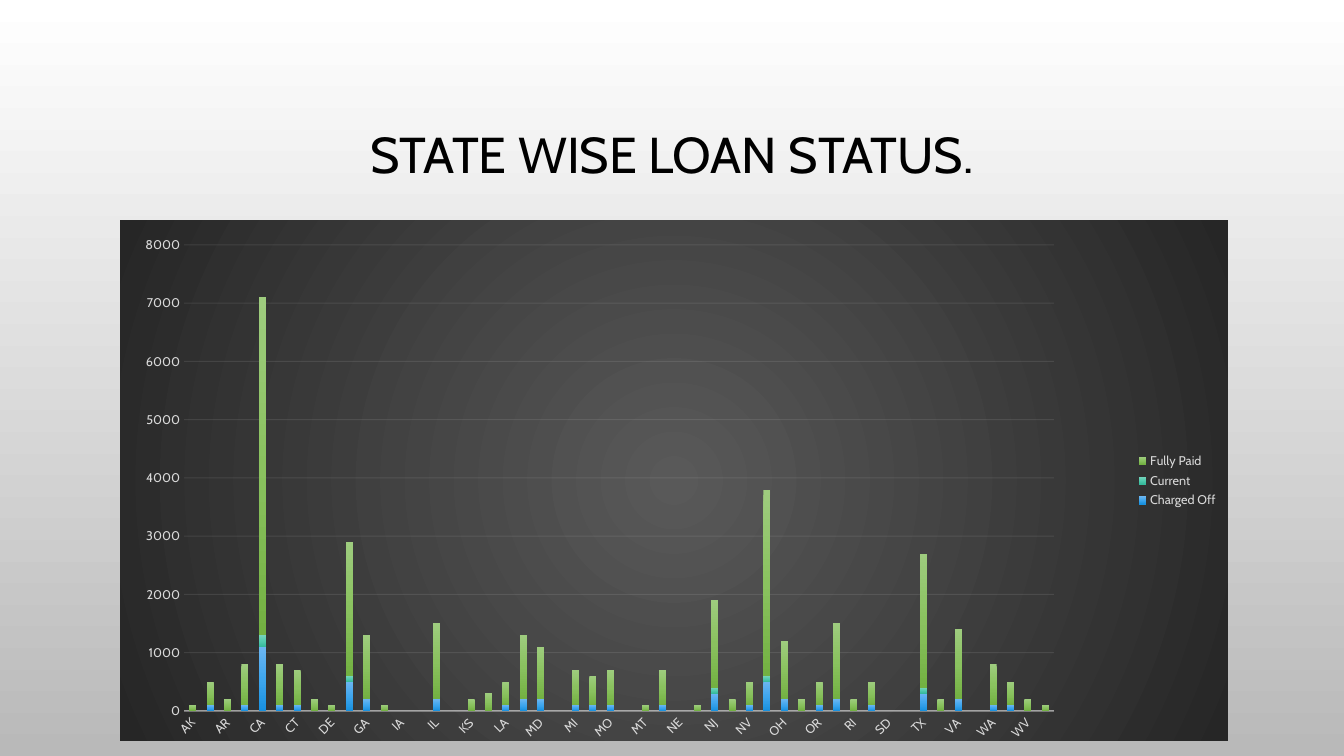
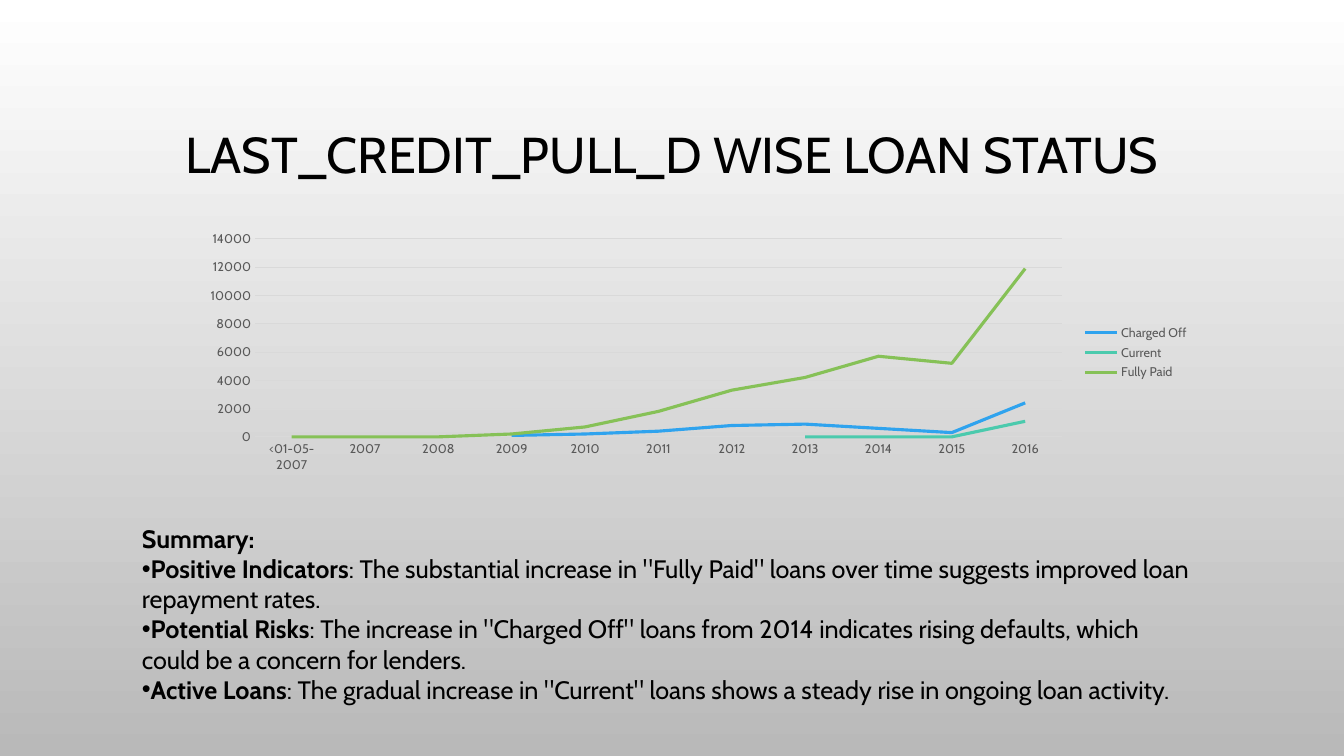
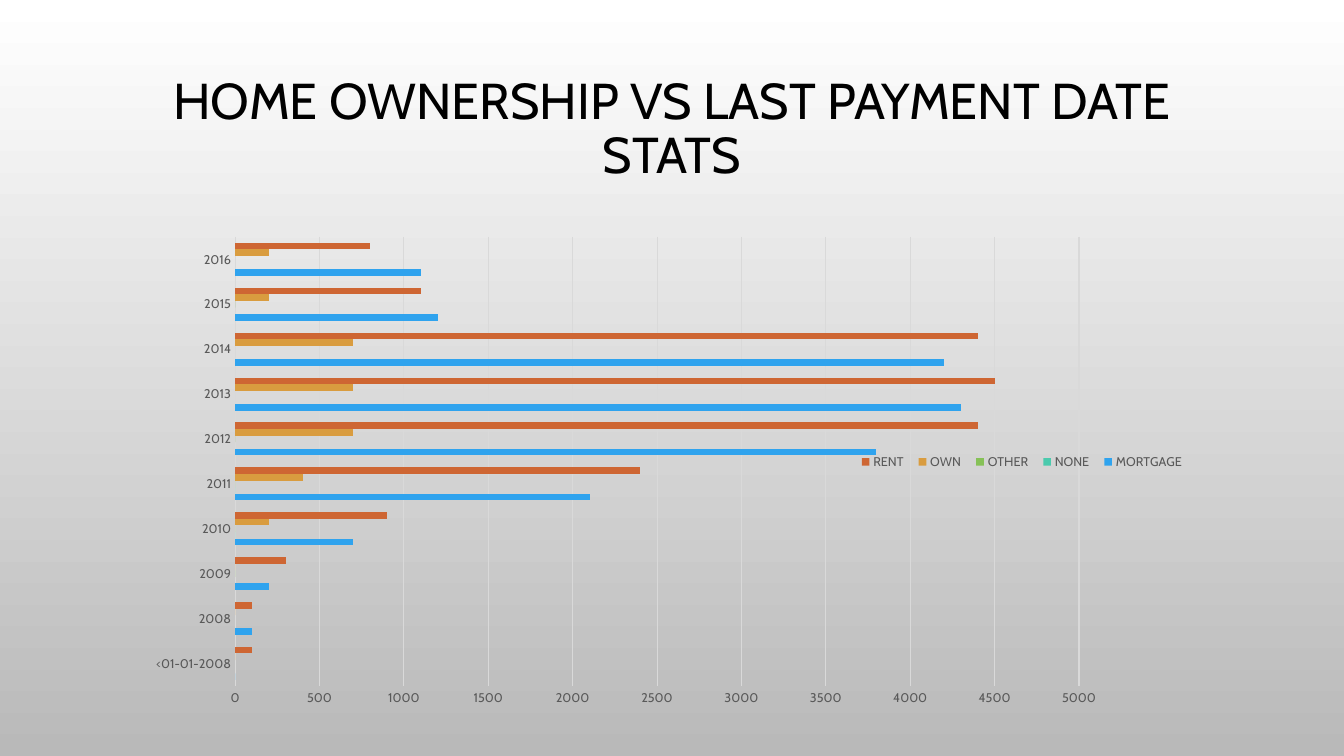
from dataclasses import dataclass

from lxml import etree
from pptx import Presentation
from pptx.chart.data import CategoryChartData
from pptx.dml.color import RGBColor
from pptx.enum.chart import XL_CHART_TYPE, XL_LEGEND_POSITION, XL_TICK_MARK
from pptx.enum.text import MSO_ANCHOR, PP_ALIGN
from pptx.oxml import parse_xml
from pptx.oxml.ns import nsdecls, qn
from pptx.util import Emu, Pt

STACKED = XL_CHART_TYPE.COLUMN_STACKED
LINE = XL_CHART_TYPE.LINE
CLUSTERED = XL_CHART_TYPE.BAR_CLUSTERED
LEGEND_RIGHT = XL_LEGEND_POSITION.RIGHT
NO_TICKS = XL_TICK_MARK.NONE
CENTER = PP_ALIGN.CENTER
MIDDLE = MSO_ANCHOR.MIDDLE
SCALE = 12192000 / 1344


@dataclass(frozen=True)
class Theme:
    font: str = "Cabin"
    title_size: int = 36
    body_size: int = 18
    chart_size: int = 10
    label_size: int = 9
    text: str = "000000"
    background: tuple = ("FFFFFF", "B9B9B9")
    panel: tuple = ("595959", "262626")
    label: str = "595959"
    label_on_panel: str = "D9D9D9"
    grid: str = "D9D9D9"
    grid_on_panel: str = "F2F2F2"
    series: tuple = ("2FA3EE", "4BCAAD", "86C157", "D99C3F", "CE6633")
    series_gradients: tuple = (
        ("6CB6F1", "3FA6EE", "1891DF"),
        ("77D4BC", "54CBAF", "36BA9C"),
        ("9ECC7E", "8AC25F", "73B142"),
    )


THEME = Theme()


def gradient_fill(colors, shade):
    step = 100000 // (len(colors) - 1)
    stops = "".join(
        f'<a:gs pos="{index * step}"><a:srgbClr val="{color}"/></a:gs>'
        for index, color in enumerate(colors)
    )
    return parse_xml(
        f'<a:gradFill {nsdecls("a")} rotWithShape="1"><a:gsLst>{stops}</a:gsLst>{shade}</a:gradFill>'
    )


def style_line(line, color, width, opacity=100):
    line.color.rgb = RGBColor.from_string(color)
    line.width = Pt(width)
    if opacity < 100:
        color_element = line._get_or_add_ln().find(".//" + qn("a:srgbClr"))
        etree.SubElement(color_element, qn("a:alpha")).set("val", str(opacity * 1000))


STATES = (
    "AK AL AR AZ CA CO CT DC DE FL GA HI IA ID IL IN KS KY LA MA MD ME MI MN MO "
    "MS MT NC NE NH NJ NM NV NY OH OK OR PA RI SC SD TN TX UT VA VT WA WI WV WY"
).split()
YEARS = [str(year) for year in range(2007, 2017)]

STATES_BY_LOANS = {
    "Charged Off": {
        None: "IA IN ME",
        100: "AL AZ CO CT LA MI MN MO NC NV OR SC WA WI",
        200: "GA IL MA MD OH PA VA",
        300: "NJ TX",
        500: "FL NY",
        1100: "CA",
    },
    "Current": {
        None: "IA ID IN ME MS NE TN",
        100: "FL NJ NY TX",
        200: "CA",
    },
    "Fully Paid": {
        100: "AK DE HI MT NH WY",
        200: "AR DC KS NM OK RI UT WV",
        300: "KY",
        400: "AL LA NV OR SC WI",
        500: "MN",
        600: "CT MI MO NC",
        700: "AZ CO WA",
        900: "MD",
        1000: "OH",
        1100: "GA MA",
        1200: "VA",
        1300: "IL PA",
        1500: "NJ",
        2300: "FL TX",
        3200: "NY",
        5800: "CA",
    },
}
STATE_SERIES = {}
for status, groups in STATES_BY_LOANS.items():
    loans = {state: count for count, names in groups.items() for state in names.split()}
    STATE_SERIES[status] = [loans.get(state, 0) for state in STATES]

SLIDES = [
    {
        "title": "STATE WISE LOAN STATUS.",
        "title_lift": 0,
        "kind": STACKED,
        "box": (120, 220, 1108, 521),
        "plot": (184, 245, 870, 466),
        "legend": None,
        "axis": (8000, 1000),
        "gap": 150,
        "panel": True,
        "categories": STATES,
        "series": STATE_SERIES,
    },
    {
        "title": "LAST_CREDIT_PULL_D WISE LOAN STATUS",
        "title_lift": 0,
        "kind": LINE,
        "box": (190, 227, 1009, 251),
        "plot": (255, 239, 807, 198),
        "legend": None,
        "axis": (14000, 2000),
        "panel": False,
        "categories": ["<01-05-2007"] + YEARS,
        "series": {
            "Charged Off": [0, None, None, 100, 200, 400, 800, 900, 600, 300, 2400],
            "Current": [None] * 7 + [0] * 3 + [1100],
            "Fully Paid": [0] * 3 + [200, 700, 1800, 3300, 4200, 5700, 5200, 11900],
        },
        "summary": [
            ("Summary:", ""),
            ("Positive Indicators", ': The substantial increase in "Fully Paid" loans over time '
             'suggests improved loan repayment rates.'),
            ("Potential Risks", ': The increase in "Charged Off" loans from 2014 indicates rising '
             'defaults, which could be a concern for lenders.'),
            ("Active Loans", ': The gradual increase in "Current" loans shows a steady rise in '
             'ongoing loan activity.'),
        ],
    },
    {
        "title": "HOME OWNERSHIP VS LAST PAYMENT DATE STATS",
        "title_lift": 54,
        "kind": CLUSTERED,
        "box": (134, 227, 1077, 489),
        "plot": (235, 237, 844, 449),
        "legend": (851, 450, 342, 24),
        "axis": (5000, 500),
        "gap": 182,
        "panel": False,
        "categories": ["<01-01-2008"] + YEARS[1:],
        "series": {
            "MORTGAGE": [0, 100, 200, 700, 2100, 3800, 4300, 4200, 1200, 1100],
            "NONE": [None] * 3 + [0] * 2 + [None] * 5,
            "OTHER": [None] * 2 + [0] * 4 + [None] * 2 + [0, None],
            "OWN": [0] * 3 + [200, 400] + [700] * 3 + [200] * 2,
            "RENT": [100, 100, 300, 900, 2400, 4400, 4500, 4400, 1100, 800],
        },
    },
]

presentation = Presentation()
presentation.slide_width = Emu(round(1344 * SCALE))
presentation.slide_height = Emu(round(756 * SCALE))
background = presentation.slide_master.background.fill
background.gradient()
background.gradient_angle = 270
for stop, color in zip(background.gradient_stops, THEME.background):
    stop.color.rgb = RGBColor.from_string(color)

for content in SLIDES:
    slide = presentation.slides.add_slide(presentation.slide_layouts[6])

    data = CategoryChartData()
    data.categories = content["categories"]
    for name, values in content["series"].items():
        data.add_series(name, values)
    chart_box = content["box"]
    frame = [Emu(round(length * SCALE)) for length in chart_box]
    chart = slide.shapes.add_chart(content["kind"], *frame, data).chart
    chart.has_title = False
    chart.font.name = THEME.font
    chart.font.size = Pt(THEME.chart_size)
    chart.font.color.rgb = RGBColor.from_string(THEME.text)
    chart.has_legend = True
    chart.legend.position = LEGEND_RIGHT
    chart.legend.include_in_layout = content["legend"] is not None

    panel = content["panel"]
    label_color = THEME.label_on_panel if panel else THEME.label
    category_axis, value_axis = chart.category_axis, chart.value_axis
    for axis in (category_axis, value_axis):
        axis.major_tick_mark = NO_TICKS
        axis.minor_tick_mark = NO_TICKS
    for font in (category_axis.tick_labels.font, value_axis.tick_labels.font, chart.legend.font):
        font.name = THEME.font
        font.size = Pt(THEME.label_size)
        font.color.rgb = RGBColor.from_string(label_color)
    value_axis.minimum_scale = 0
    value_axis.maximum_scale, value_axis.major_unit = content["axis"]
    value_axis.format.line.fill.background()
    grid_line = value_axis.major_gridlines.format.line
    if panel:
        style_line(category_axis.format.line, THEME.grid_on_panel, 1, 54)
        style_line(grid_line, THEME.grid_on_panel, 0.75, 10)
        category_axis._element.txPr.bodyPr.set("rot", "-2700000")
        panel_properties = parse_xml(f'<c:spPr {nsdecls("c", "a")}><a:ln><a:noFill/></a:ln></c:spPr>')
        center = '<a:path path="circle"><a:fillToRect l="50000" t="50000" r="50000" b="50000"/></a:path>'
        panel_properties.insert(0, gradient_fill(THEME.panel, center))
        chart._chartSpace.find(qn("c:chart")).addnext(panel_properties)
    else:
        style_line(category_axis.format.line, THEME.grid, 0.75)
        style_line(grid_line, THEME.grid, 0.75)

    plot = chart.plots[0]
    plot.vary_by_categories = False
    if "gap" in content:
        plot.gap_width = content["gap"]
    for index, series in enumerate(plot.series):
        if content["kind"] == LINE:
            series.smooth = False
            style_line(series.format.line, THEME.series[index], 2.25)
            continue
        series.format.fill.solid()
        series.format.fill.fore_color.rgb = RGBColor.from_string(THEME.series[index])
        if panel:
            properties = series._element.spPr
            downward = '<a:lin ang="5400000" scaled="0"/>'
            fill = gradient_fill(THEME.series_gradients[index], downward)
            properties.replace(properties.find(qn("a:solidFill")), fill)

    plot_area = chart._chartSpace.find(".//" + qn("c:plotArea"))
    for owner, box, position, target in (
        (plot_area, content["plot"], 0, '<c:layoutTarget val="inner"/>'),
        (chart.legend._element, content["legend"], 1, ""),
    ):
        if box is None:
            continue
        for layout in owner.findall(qn("c:layout")):
            owner.remove(layout)
        left, top, width, height = chart_box
        fractions = {
            "x": (box[0] - left) / width,
            "y": (box[1] - top) / height,
            "w": box[2] / width,
            "h": box[3] / height,
        }
        modes = '<c:xMode val="edge"/><c:yMode val="edge"/>'
        sizes = "".join(f'<c:{key} val="{value:.4f}"/>' for key, value in fractions.items())
        owner.insert(position, parse_xml(
            f'<c:layout {nsdecls("c")}><c:manualLayout>{target}{modes}{sizes}</c:manualLayout></c:layout>'
        ))

    frame = [Emu(round(length * SCALE)) for length in (101, 69, 1142, 176)]
    text_frame = slide.shapes.add_textbox(*frame).text_frame
    text_frame.word_wrap = True
    text_frame.vertical_anchor = MIDDLE
    text_frame.margin_bottom = Emu(round((5 + content["title_lift"]) * SCALE))
    text_frame.text = content["title"]
    paragraph = text_frame.paragraphs[0]
    paragraph.alignment = CENTER
    paragraph.line_spacing = 0.9
    font = paragraph.runs[0].font
    font.name = THEME.font
    font.size = Pt(THEME.title_size)
    font.color.rgb = RGBColor.from_string(THEME.text)

    if "summary" in content:
        frame = [Emu(round(length * SCALE)) for length in (132, 518, 1080, 194)]
        text_frame = slide.shapes.add_textbox(*frame).text_frame
        text_frame.word_wrap = True
        for index, (heading, detail) in enumerate(content["summary"]):
            paragraph = text_frame.add_paragraph() if index else text_frame.paragraphs[0]
            if detail:
                properties = paragraph._p.get_or_add_pPr()
                properties.set("marL", "0")
                properties.set("indent", "0")
                etree.SubElement(properties, qn("a:buFont")).set("typeface", "Arial")
                etree.SubElement(properties, qn("a:buChar")).set("char", "•")
            for text, bold in ((heading, True), (detail, False)):
                if text:
                    run = paragraph.add_run()
                    run.text = text
                    run.font.name = THEME.font
                    run.font.size = Pt(THEME.body_size)
                    run.font.bold = bold
                    run.font.color.rgb = RGBColor.from_string(THEME.text)

presentation.save("out.pptx")
